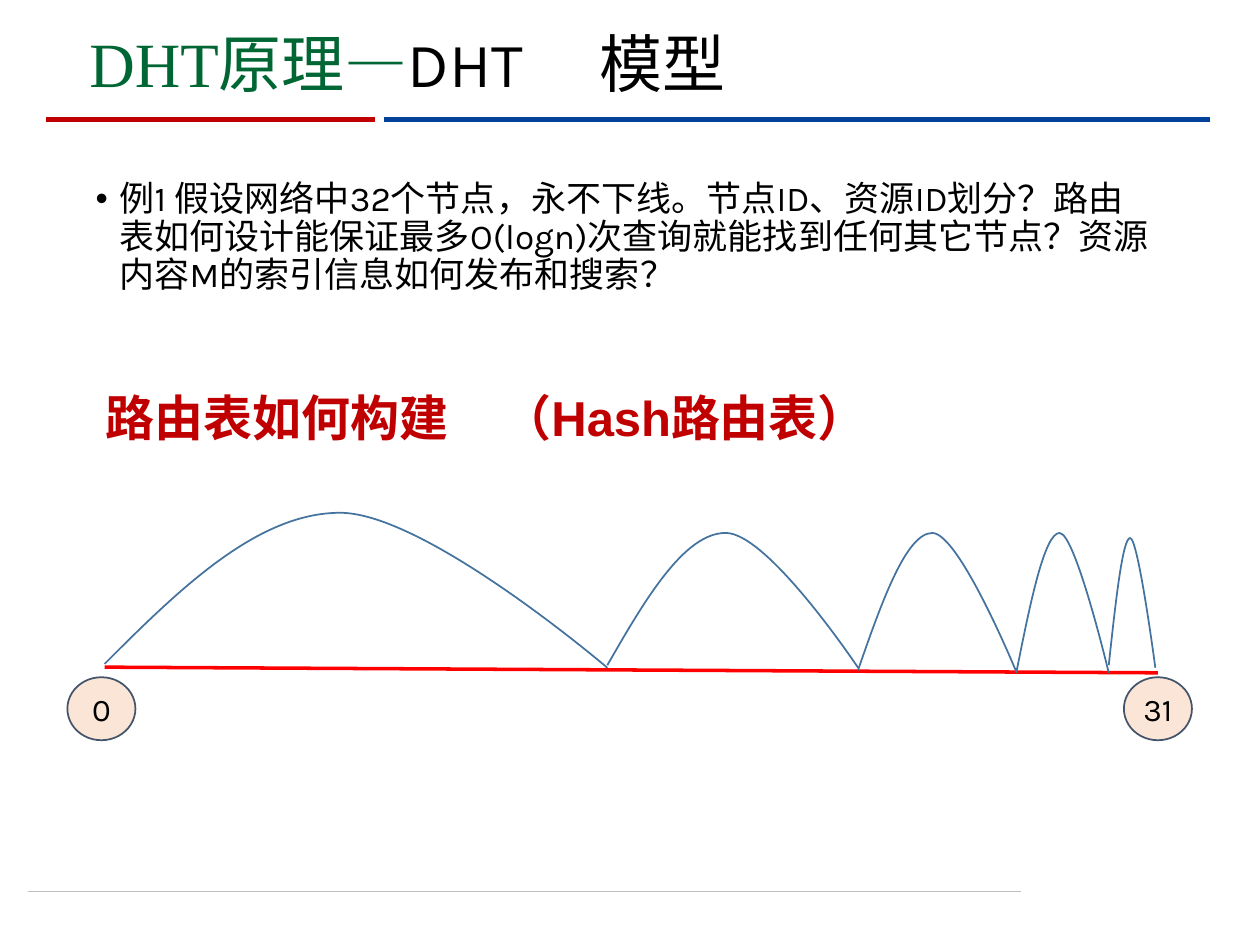
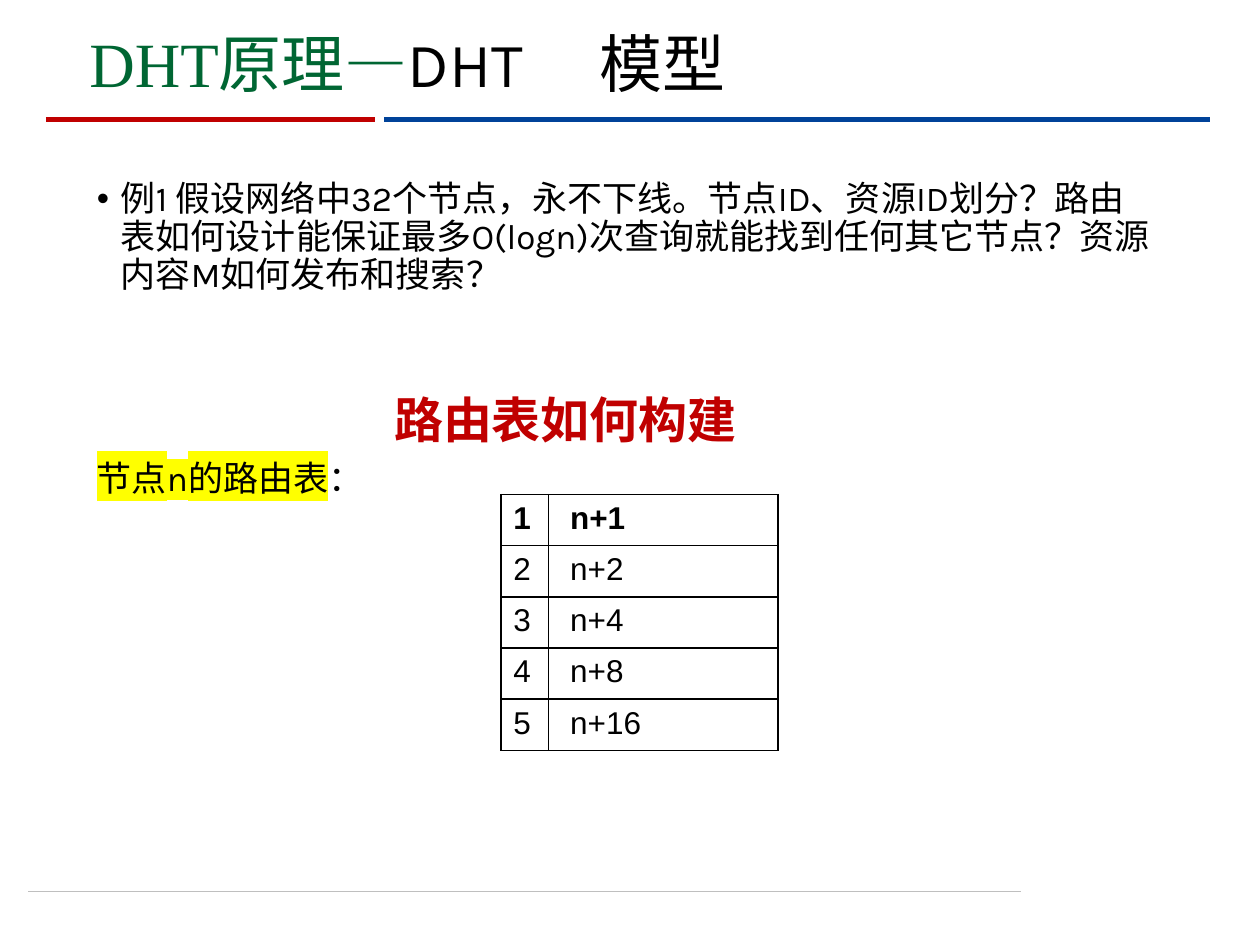
from lxml import etree
from pptx import Presentation
from pptx import util as u
from pptx.dml.color import RGBColor
from pptx.enum import shapes, text
from pptx.oxml import ns

# Page grid: 100 columns by 75 rows of square cells
COLS, ROWS = 100, 75
CELL = u.Inches(0.1)

BLACK = RGBColor(0, 0, 0)
WHITE = RGBColor(255, 255, 255)
GREEN = RGBColor(0x00, 0x66, 0x33)
RED = RGBColor(0xC0, 0x00, 0x00)
BLUE = RGBColor(0x00, 0x42, 0x99)
GREY = RGBColor(0xBF, 0xBF, 0xBF)
AXIS = RGBColor(0xFF, 0x00, 0x00)
ARC = RGBColor(0x43, 0x73, 0x9E)
PEACH = RGBColor(0xFB, 0xE5, 0xD6)
SLATE = RGBColor(0x44, 0x54, 0x6A)
YELLOW = RGBColor(0xFF, 0xFF, 0x00)

BODY, HEAD, SERIF, CJK = "Karla", "Arial", "Times New Roman", "Noto Sans CJK SC"

TASK = ("例1 假设网络中32个节点，永不下线。节点ID、资源ID划分？"
        "路由表如何设计能保证最多O(logn)次查询就能找到任何其它节点？资源内容M")
# Each hop: start column and row, peak column and row, end column and row
HOPS = [
    (8.3, 52.7, 27, 40.7, 48.2, 53),
    (48.2, 52.8, 57.6, 42.3, 68.1, 53),
    (68.1, 53.2, 74, 42.3, 80.7, 53.4),
    (80.7, 53.2, 84.1, 42.3, 88, 53.4),
    (88, 52.8, 89.7, 42.7, 91.7, 53),
]


def grid(*cells):
    return [round(n * CELL) for n in cells]


def sub(node, tag, **attrs):
    return etree.SubElement(node, ns.qn(tag), attrs)


def add_run(para, words, size, color=BLACK, face=BODY, bold=False, mark=None):
    run = para.add_run()
    run.text = words
    font = run.font
    font.size, font.bold, font.color.rgb = u.Pt(size), bold, color
    props = font._element
    if mark:
        sub(sub(props, "a:highlight"), "a:srgbClr", val=str(mark))
    sub(props, "a:latin", typeface=face)
    sub(props, "a:ea", typeface=CJK)


def set_tab(para, col):
    """Put one left tab stop at a distance in columns from the text edge."""
    tabs = sub(para._p.get_or_add_pPr(), "a:tabLst")
    sub(tabs, "a:tab", pos=str(grid(col)[0]), algn="l")


def add_text(slide, x, y, w, h):
    frame = slide.shapes.add_textbox(*grid(x, y, w, h)).text_frame
    frame.word_wrap = True
    return frame


def clear_pad(frame):
    frame.margin_left = frame.margin_right = 0
    frame.margin_top = frame.margin_bottom = 0


def add_line(slide, x1, y1, x2, y2, color, width):
    line = slide.shapes.add_connector(
        shapes.MSO_CONNECTOR.STRAIGHT, *grid(x1, y1, x2, y2))
    line.line.color.rgb, line.line.width = color, u.Pt(width)
    sub(line._element.spPr, "a:effectLst")


def add_title(slide):
    frame = add_text(slide, 7.1, 1.95, 68.5, 6.2)
    clear_pad(frame)
    para = frame.paragraphs[0]
    set_tab(para, 40.5)
    add_run(para, "DHT", 36, GREEN, SERIF)
    add_run(para, "原理", 36, GREEN, CJK)
    add_run(para, "—", 36, GREEN)
    add_run(para, "DHT\t模型", 36)


def add_task(slide, x, ending):
    frame = add_text(slide, x, 13.9, 86.2, 48.9)
    para = frame.paragraphs[0]
    props = para._p.get_or_add_pPr()
    hang = grid(1.9)[0]
    props.set("marL", str(hang))
    props.set("indent", str(-hang))
    para.line_spacing = 0.9
    sub(props, "a:buFont", typeface=HEAD)
    sub(props, "a:buChar", char="•")
    add_run(para, TASK + ending, 20)
    return frame


def add_head(slide, x, y, w, words, tab=None):
    para = add_text(slide, x, y, w, 5.7).paragraphs[0]
    if tab:
        set_tab(para, tab)
    add_run(para, words, 28, RED, HEAD, bold=True)


def add_hop(slide, x1, y1, px, py, x2, y2):
    """Arc of two cubic curves that meet, level, at the peak."""
    start, peak, end = (x1, y1), (px, py), (x2, y2)
    path = slide.shapes.build_freeform(*grid(*start))
    path.add_line_segments([grid(*peak), grid(*end)], close=False)
    arc = path.convert_to_shape()
    rise = ((x1 + (px - x1) * 0.32, (y1 + py) / 2),
            (x1 + (px - x1) * 0.65, py), peak)
    fall = ((px + (x2 - px) * 0.32, py), end, end)
    legs = list(arc._element.iter(ns.qn("a:lnTo")))
    for leg, points in zip(legs, (rise, fall)):
        curve = etree.Element(ns.qn("a:cubicBezTo"))
        for point in points:
            x, y = grid(*point)
            sub(curve, "a:pt", x=str(x - arc.left), y=str(y - arc.top))
        leg.getparent().replace(leg, curve)
    arc.shadow.inherit = False
    arc.fill.background()
    arc.line.color.rgb, arc.line.width = ARC, u.Pt(1)


def add_node(slide, x, label):
    node = slide.shapes.add_shape(
        shapes.MSO_SHAPE.OVAL, *grid(x, 53.75, 5.4, 5))
    node.shadow.inherit = False
    node.fill.solid()
    node.fill.fore_color.rgb = PEACH
    node.line.color.rgb, node.line.width = SLATE, u.Pt(1)
    frame = node.text_frame
    clear_pad(frame)
    frame.vertical_anchor = text.MSO_ANCHOR.MIDDLE
    para = frame.paragraphs[0]
    para.alignment = text.PP_ALIGN.CENTER
    add_run(para, label, 18)


def fill_cell(cell, words, left, bold):
    cell.margin_left = grid(left)[0]
    props = cell._tc.get_or_add_tcPr()
    for side in "LRTB":
        edge = sub(props, f"a:ln{side}", w=str(u.Pt(1)))
        sub(sub(edge, "a:solidFill"), "a:srgbClr", val=str(BLACK))
    cell.fill.solid()
    cell.fill.fore_color.rgb = WHITE
    add_run(cell.text_frame.paragraphs[0], words, 18, face=HEAD, bold=bold)


def add_routes(slide, count):
    """Table of fingers: entry k points 2^(k-1) nodes ahead."""
    table = slide.shapes.add_table(
        count, 2, *grid(39.75, 39.25, 22, 4.06 * count)).table
    for col, width in zip(table.columns, grid(3.8, 18.2)):
        col.width = width
    for i in range(count):
        fill_cell(table.cell(i, 0), str(i + 1), 1, i == 0)
        fill_cell(table.cell(i, 1), f"n+{2 ** i}", 1.7, i == 0)


def add_page(deck):
    slide = deck.slides.add_slide(deck.slide_layouts[6])
    add_line(slide, 2.25, 70.74, 81.05, 70.74, GREY, 0.5)
    add_line(slide, 30.5, 9.5, 96.05, 9.5, BLUE, 3)
    add_line(slide, 3.65, 9.5, 29.8, 9.5, RED, 3)
    return slide


def hop_page(deck):
    slide = add_page(deck)
    add_task(slide, 6.6, "的索引信息如何发布和搜索？")
    add_head(slide, 7.4, 30.25, 64.4, "路由表如何构建\t（Hash路由表）", tab=31.5)
    add_line(slide, 8.3, 52.95, 91.9, 53.4, AXIS, 2)
    for hop in HOPS:
        add_hop(slide, *hop)
    add_node(slide, 89.2, "31")
    add_node(slide, 5.35, "0")
    add_title(slide)


def route_page(deck):
    slide = add_page(deck)
    label = add_task(slide, 6.7, "如何发布和搜索？").add_paragraph()
    label.line_spacing, label.space_before = 0.9, u.Pt(95)
    add_run(label, "节点n的路由表", 20, mark=YELLOW)
    add_run(label, "：", 20)
    add_head(slide, 30.3, 30.4, 29.6, "路由表如何构建")
    add_routes(slide, 5)
    add_title(slide)


def main():
    deck = Presentation()
    deck.slide_width, deck.slide_height = grid(COLS, ROWS)
    hop_page(deck)
    route_page(deck)
    deck.save("out.pptx")


if __name__ == "__main__":
    main()
